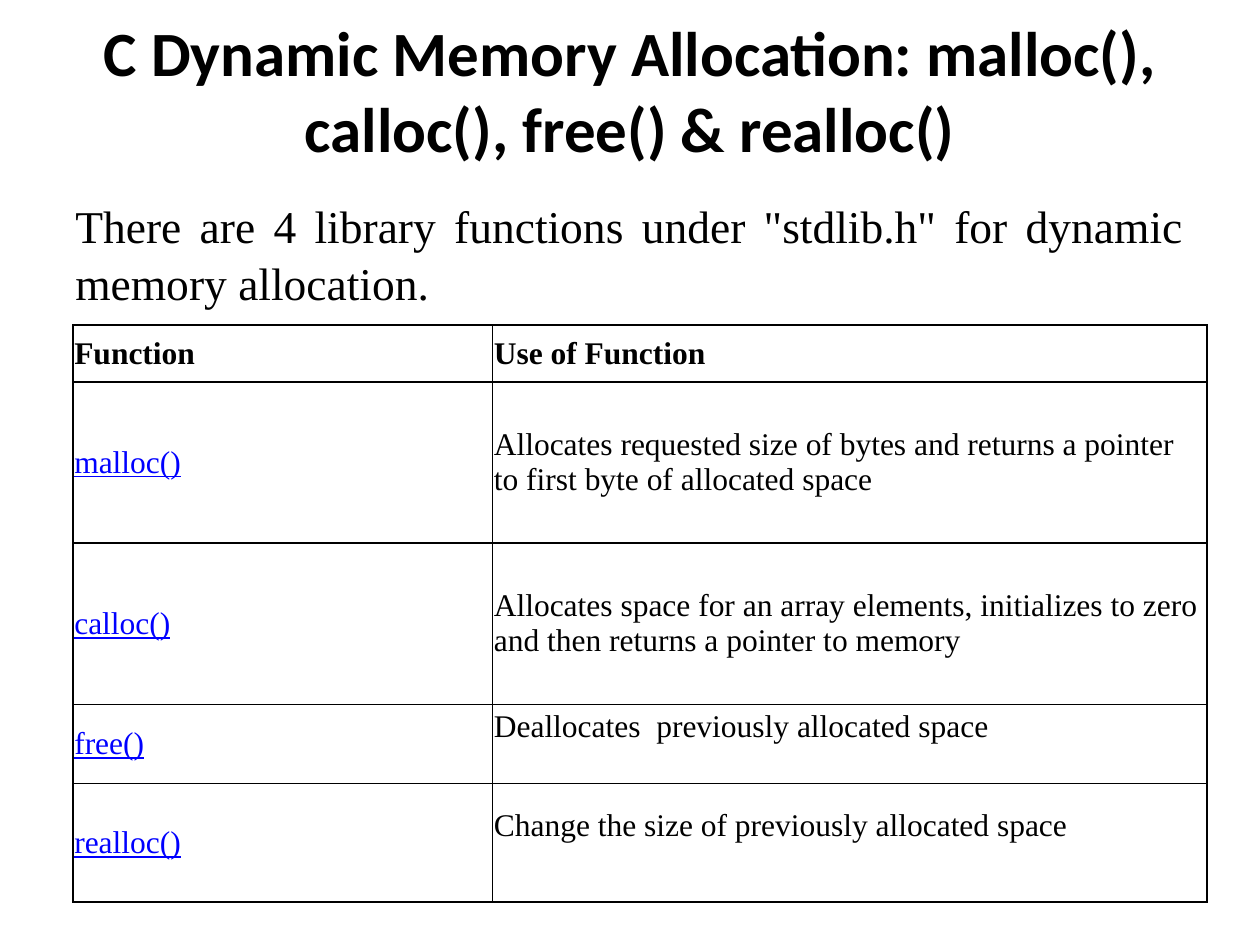
import pptx
import pptx.util
import pptx.dml.color
import pptx.enum.text
import pptx.oxml
from pptx.oxml.ns import nsdecls

Inches, Pt = pptx.util.Inches, pptx.util.Pt
RGBColor = pptx.dml.color.RGBColor
PP_ALIGN, MSO_ANCHOR = pptx.enum.text.PP_ALIGN, pptx.enum.text.MSO_ANCHOR

BLACK = RGBColor(0, 0, 0)
BLUE = RGBColor(0, 0, 255)
SERIF = "Times New Roman"

TITLE = "C Dynamic Memory Allocation: malloc(), calloc(), free() & realloc()"
INTRO = 'There are 4 library functions under "stdlib.h" for dynamic memory allocation.'
HEADER = ("Function", "Use of Function")
# function, use, row height, bottom inset of the use cell
FUNCTIONS = [
    ("malloc()", "Allocates requested size of bytes and returns a pointer "
     "to first byte of allocated space", 1.28, 0.01),
    ("calloc()", "Allocates space for an array elements, initializes to zero "
     "and then returns a pointer to memory", 1.28, 0.01),
    ("free()", "Deallocates  previously allocated space", 0.63, 0.28),
    ("realloc()", "Change the size of previously allocated space", 0.94, 0.28),
]
HEADER_HEIGHT = 0.45
COLUMN_WIDTHS = (3.33, 5.67)
INSET = 0.01

TITLE_FONT = {"name": "Calibri", "size": Pt(36), "bold": True}
INTRO_FONT = {"name": SERIF, "size": Pt(26), "bold": False}
CELL_FONT = {"name": SERIF, "size": Pt(18), "bold": False, "underline": False}
HEADER_FONT = {**CELL_FONT, "bold": True}
LINK_FONT = {**CELL_FONT, "underline": True}


def write(tf, text, font, color=BLACK, align=PP_ALIGN.LEFT):
    p = tf.paragraphs[0]
    p.alignment = align
    r = p.add_run()
    r.text = text
    for key, value in font.items():
        setattr(r.font, key, value)
    r.font.color.rgb = color
    return p


def add_borders(cell):
    tcPr = cell._tc.get_or_add_tcPr()
    for i, side in enumerate(("lnL", "lnR", "lnT", "lnB")):
        tcPr.insert(i, pptx.oxml.parse_xml(
            f'<a:{side} {nsdecls("a")} w="{Pt(1)}"><a:solidFill>'
            f'<a:srgbClr val="{BLACK}"/></a:solidFill></a:{side}>'))


def fill_cell(cell, text, font, color=BLACK, bottom=INSET):
    cell.fill.background()
    add_borders(cell)
    cell.vertical_anchor = MSO_ANCHOR.MIDDLE
    cell.margin_left = cell.margin_right = cell.margin_top = Inches(INSET)
    cell.margin_bottom = Inches(bottom)
    write(cell.text_frame, text, font, color)


def add_function_table(s):
    heights = [HEADER_HEIGHT] + [row[2] for row in FUNCTIONS]
    table = s.shapes.add_table(
        len(heights), len(COLUMN_WIDTHS), Inches(0.58), Inches(2.58),
        Inches(sum(COLUMN_WIDTHS)), Inches(sum(heights))).table
    table.first_row = table.horz_banding = False
    for column, width in zip(table.columns, COLUMN_WIDTHS):
        column.width = Inches(width)
    for row, height in zip(table.rows, heights):
        row.height = Inches(height)
    for col, text in enumerate(HEADER):
        fill_cell(table.cell(0, col), text, HEADER_FONT)
    for i, (name, use, _, bottom) in enumerate(FUNCTIONS, 1):
        fill_cell(table.cell(i, 0), name, LINK_FONT, BLUE)
        fill_cell(table.cell(i, 1), use, CELL_FONT, bottom=bottom)


def main():
    prs = pptx.Presentation()
    prs.slide_width, prs.slide_height = Inches(10), Inches(7.5)
    s = prs.slides.add_slide(prs.slide_layouts[5])

    title = s.shapes.title
    title.left, title.top = Inches(0.5), Inches(0)
    title.width, title.height = Inches(9), Inches(1.42)
    title.text_frame.vertical_anchor = MSO_ANCHOR.MIDDLE
    write(title.text_frame, TITLE, TITLE_FONT, align=PP_ALIGN.CENTER)

    tf = s.shapes.add_textbox(Inches(0.5), Inches(1.5), Inches(9), Inches(5.2)).text_frame
    tf.word_wrap = True
    p = write(tf, INTRO, INTRO_FONT, align=PP_ALIGN.JUSTIFY)
    p.line_spacing = 1.05

    add_function_table(s)
    prs.save("out.pptx")


if __name__ == "__main__":
    main()
